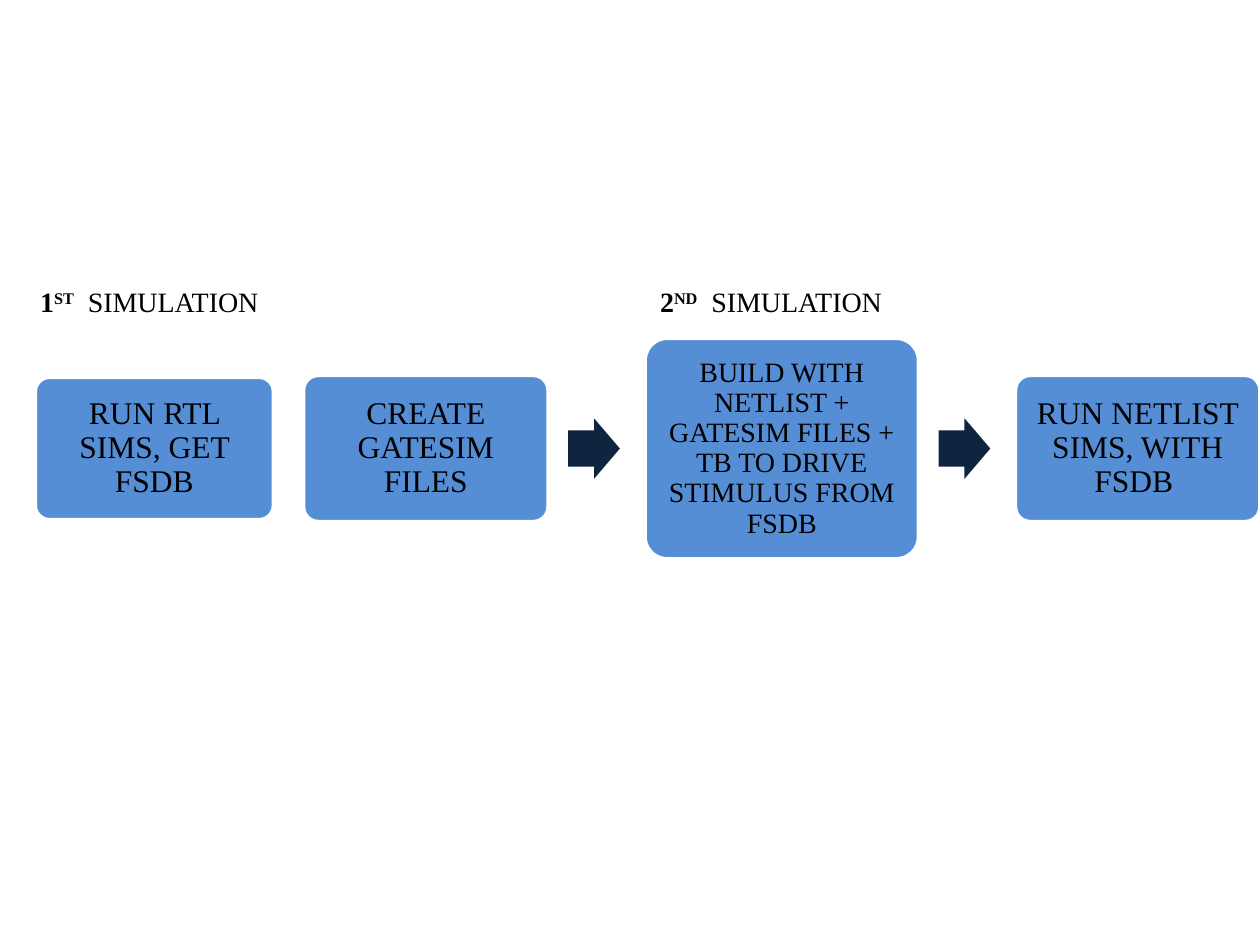
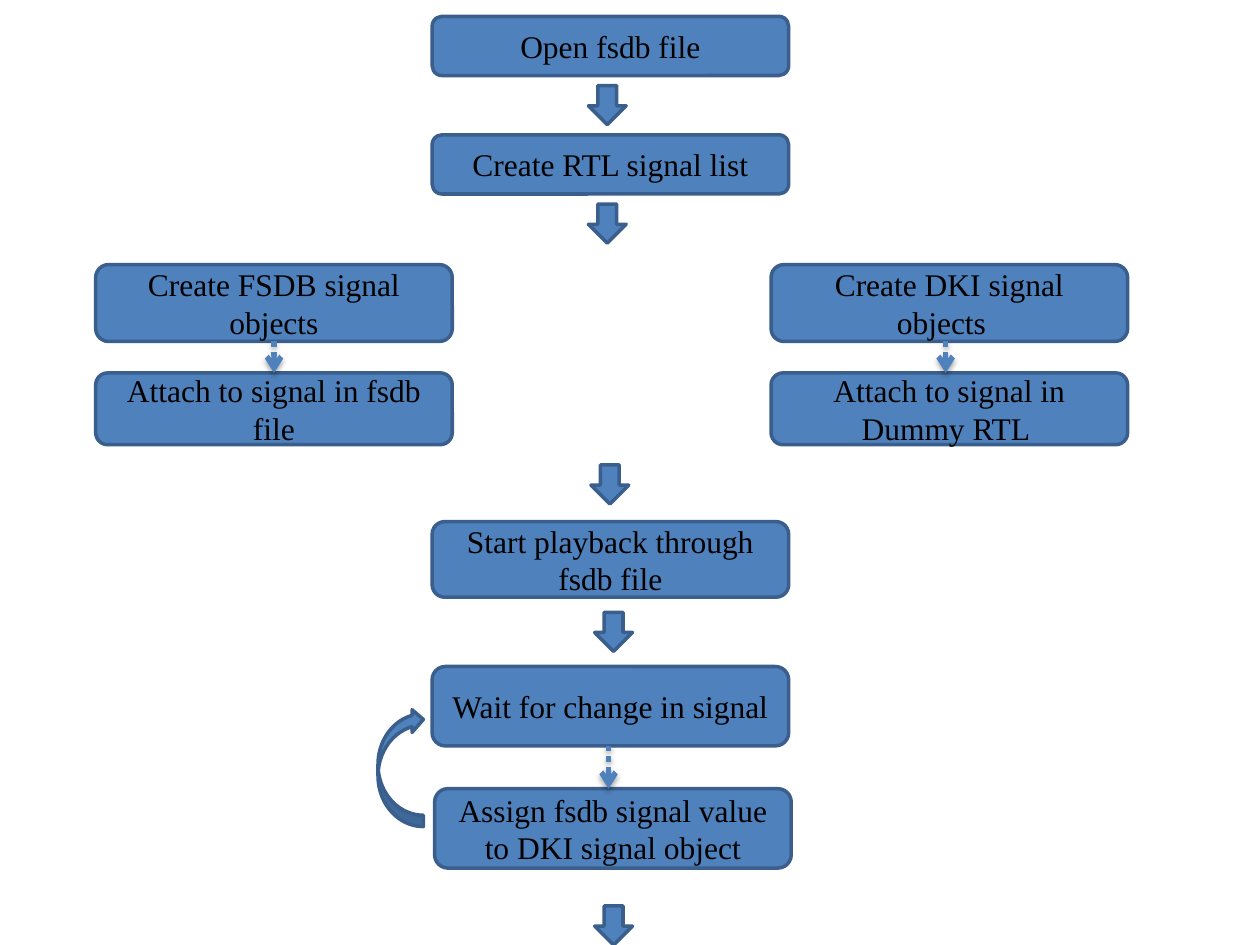
"""Two flow charts: the two simulation runs, and the playback of an fsdb file."""
from lxml import etree
from pptx import Presentation
from pptx import util as u
from pptx.dml.color import RGBColor
from pptx.enum import dml, shapes, text
from pptx.oxml.ns import qn

COLUMNS, ROWS = 100, 75
CELL = u.Inches(10) // COLUMNS
FONT = "Times New Roman"
BLACK, WHITE = "000000", "FFFFFF"
STAGE_BLUE, NAVY = "558ED5", "0F243E"
STEP_BLUE, STEP_EDGE = "4F81BD", "3A5F8C"
KIND = shapes.MSO_SHAPE

STEP_WIDTH = 28.3
LEFT, CENTRE, RIGHT = 7.6, 34.3, 61.2
STAGE_MIDDLE = 35.6

STAGES = [
    (2.8, 18.9, 11.3, 18, "RUN RTL SIMS, GET FSDB"),
    (24.1, 19.4, 11.6, 18, "CREATE GATESIM FILES"),
    (51.2, 21.7, 17.5, 16,
     "BUILD WITH NETLIST + GATESIM FILES + TB TO DRIVE STIMULUS FROM FSDB"),
    (80.6, 19.4, 11.6, 18, "RUN NETLIST SIMS, WITH FSDB "),
]
STEPS = [
    (CENTRE, 1.3, 4.7, "Open fsdb file"),
    (CENTRE, 10.7, 4.7, "Create RTL signal list"),
    (LEFT, 21, 6.1, "Create FSDB signal objects"),
    (RIGHT, 21, 6.1, "Create DKI signal objects  "),
    (LEFT, 29.6, 5.7, "Attach to signal in fsdb file"),
    (RIGHT, 29.6, 5.7, "Attach to signal in Dummy RTL "),
    (CENTRE, 41.4, 6, "Start playback through fsdb file"),
    (CENTRE, 52.9, 6.3, "Wait for change in signal"),
    (CENTRE + 0.2, 62.6, 6.3, "Assign fsdb signal value to DKI signal object"),
]
DOWN_ARROWS = [(46.7, 6.8), (46.7, 16.2), (46.9, 36.9), (47.2, 48.6), (47.2, 71.9)]
LINKS = [(21.75, 27.1, 29.6), (75.05, 27.1, 29.6), (48.3, 59.2, 62.6)]


def grid(*cells):
    """Turn counts of grid cells into lengths."""
    return [u.Emu(round(count * CELL)) for count in cells]


def colour(hex_code):
    """Return the colour of a hex string."""
    return RGBColor.from_string(hex_code)


def add_run(paragraph, words, size, bold=False, raised=False):
    """Add one run of black text, raised for an ordinal ending."""
    run = paragraph.add_run()
    run.text = words
    run.font.name, run.font.size, run.font.bold = FONT, u.Pt(size), bold
    run.font.color.rgb = colour(BLACK)
    if raised:
        run.font._element.set("baseline", "30000")


def add_block(slide, kind, place, fill, edge=None, adjustments=()):
    """Add a filled shape, outlined if an edge colour is given."""
    block = slide.shapes.add_shape(kind, *grid(*place))
    block.shadow.inherit = False
    block.fill.solid()
    block.fill.fore_color.rgb = colour(fill)
    if edge:
        block.line.color.rgb, block.line.width = colour(edge), u.Pt(2)
    else:
        block.line.fill.background()
    for index, value in enumerate(adjustments):
        block.adjustments[index] = value
    return block


def write_centred(block, words, size, spacing=None, inset=None):
    """Write one centred paragraph in the middle of a block."""
    frame = block.text_frame
    frame.word_wrap = True
    frame.vertical_anchor = text.MSO_ANCHOR.MIDDLE
    if inset is not None:
        frame.margin_left = frame.margin_right = u.Inches(inset)
        frame.margin_top = frame.margin_bottom = u.Inches(inset)
    paragraph = frame.paragraphs[0]
    paragraph.alignment = text.PP_ALIGN.CENTER
    paragraph.line_spacing = spacing
    add_run(paragraph, words, size)


def add_stage(slide, left, width, height, size, words):
    """Add a stage of the simulation flow, centred on the common axis."""
    place = left, STAGE_MIDDLE - height / 2, width, height
    stage = add_block(slide, KIND.ROUNDED_RECTANGLE, place, STAGE_BLUE, WHITE, [0.1])
    write_centred(stage, words, size, spacing=0.9, inset=0.07)


def add_heading(slide, left, width, number, ending):
    """Add the heading of a simulation, with its ordinal number."""
    heading = slide.shapes.add_textbox(*grid(left, 22.1, width, 3.7))
    heading.text_frame.word_wrap = False
    paragraph = heading.text_frame.paragraphs[0]
    add_run(paragraph, number, 16, bold=True)
    add_run(paragraph, ending, 16, bold=True, raised=True)
    add_run(paragraph, "  SIMULATION", 16)


def add_step(slide, left, top, height, words):
    """Add a step of the playback flow."""
    place = left, top, STEP_WIDTH, height
    step = add_block(slide, KIND.ROUNDED_RECTANGLE, place, STEP_BLUE, STEP_EDGE)
    write_centred(step, words, 18)


def add_link(slide, x, top, bottom):
    """Add a dotted arrow with a soft shadow, pointing down."""
    link = slide.shapes.add_connector(
        shapes.MSO_CONNECTOR.STRAIGHT, *grid(x, top, x, bottom))
    link.line.color.rgb, link.line.width = colour(STEP_BLUE), u.Pt(3)
    link.line.dash_style = dml.MSO_LINE.ROUND_DOT
    properties = link._element.spPr
    etree.SubElement(properties.find(qn("a:ln")), qn("a:tailEnd"), type="arrow")
    effects = etree.SubElement(properties, qn("a:effectLst"))
    shadow = etree.SubElement(effects, qn("a:outerShdw"), blurRad=str(u.Pt(3.1)),
                              dist=str(u.Pt(1.8)), dir="5400000", rotWithShape="0")
    tint = etree.SubElement(shadow, qn("a:srgbClr"), val=BLACK)
    etree.SubElement(tint, qn("a:alpha"), val="35000")


def build_simulations(slide):
    """Draw the flow through the two simulations."""
    for stage in STAGES:
        add_stage(slide, *stage)
    for left in (45.1, 74.5):
        add_block(slide, KIND.RIGHT_ARROW, (left, 33.2, 4.1, 4.8), NAVY,
                  adjustments=[0.6, 0.5])
    add_heading(slide, 2.2, 19.8, "1", "ST")
    add_heading(slide, 51.4, 20.1, "2", "ND")


def build_playback(slide):
    """Draw the steps of the playback, with its loop."""
    for step in STEPS:
        add_step(slide, *step)
    loop = add_block(slide, KIND.CURVED_LEFT_ARROW, (30, 56.2, 3.6, 9.4),
                     STEP_BLUE, STEP_EDGE)
    loop.rotation = 180
    for left, top in DOWN_ARROWS:
        add_block(slide, KIND.DOWN_ARROW, (left, top, 3, 3.1), STEP_BLUE, STEP_EDGE)
    for link in LINKS:
        add_link(slide, *link)


def main():
    """Build and save the presentation."""
    deck = Presentation()
    deck.slide_width, deck.slide_height = grid(COLUMNS, ROWS)
    for build in (build_simulations, build_playback):
        build(deck.slides.add_slide(deck.slide_layouts[6]))
    deck.save("out.pptx")


main()
